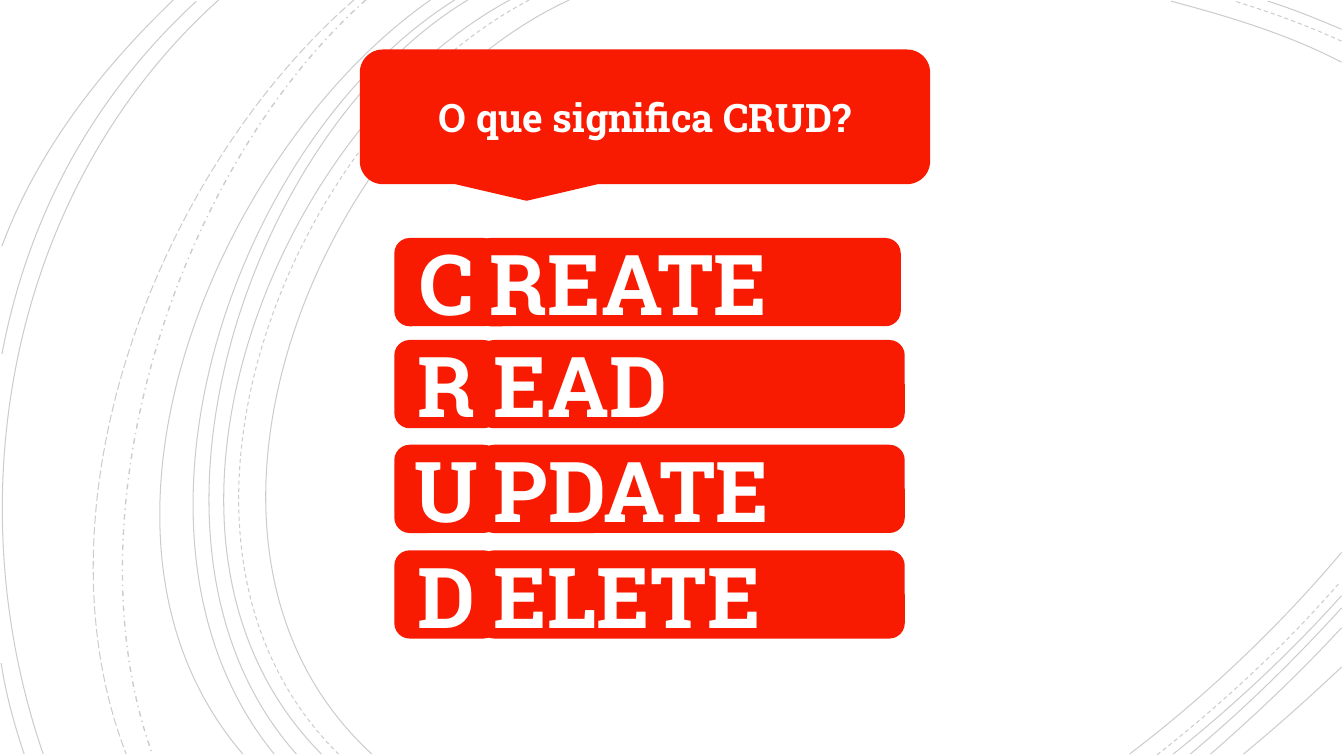
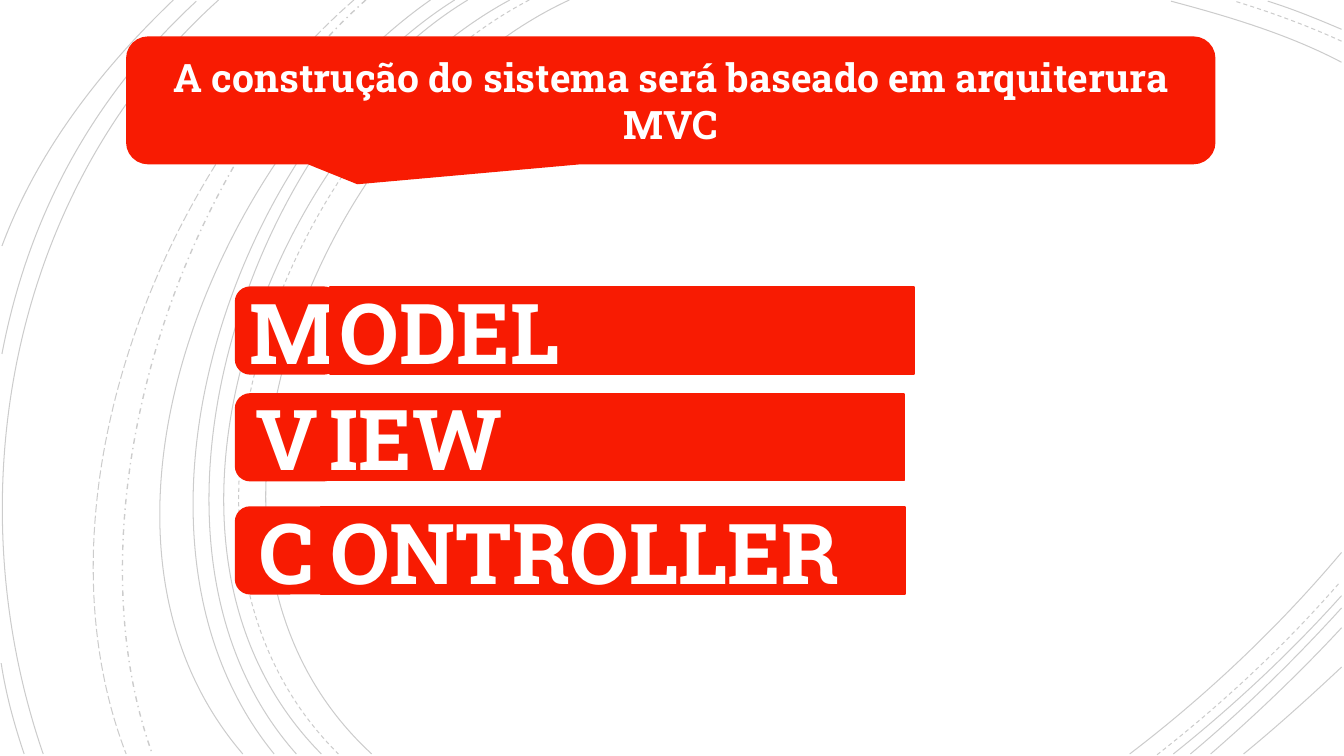
from dataclasses import dataclass

from lxml.etree import SubElement
from pptx import Presentation
from pptx.dml.color import RGBColor
from pptx.enum.dml import MSO_LINE
from pptx.enum.shapes import MSO_SHAPE
from pptx.enum.text import MSO_ANCHOR, PP_ALIGN
from pptx.oxml.ns import qn
from pptx.util import Cm, Pt


@dataclass(frozen=True)
class Theme:
    red: RGBColor = RGBColor(0xF8, 0x1B, 0x02)
    white: RGBColor = RGBColor(0xFF, 0xFF, 0xFF)
    black: RGBColor = RGBColor(0, 0, 0)
    arc_opacity: int = 20
    font: str = "Roboto Slab"
    title_size: Pt = Pt(28)
    word_size: Pt = Pt(60)
    outline: Pt = Pt(1.25)


THEME = Theme()
SLIDE_SIZE = (33.87, 19.05)
BAR_HEIGHT = 2.18
INITIAL_WIDTH = 2.59

TOPICS = [
    {
        "title": "O que significa CRUD?",
        "callout": (9.09, 1.27, 14.33, 3.35),
        "pointer": (-0.208, 0.625, 0.167),
        "initial_left": 9.96,
        "rest_width": 10.69,
        "rest_corner": 0.167,
        "words": [
            ("C", "REATE", 6.02, 11.99),
            ("R", "EAD", 8.59, 12.09),
            ("U", "PDATE", 11.23, 12.09),
            ("D", "ELETE", 13.89, 12.09),
        ],
    },
    {
        "title": "A construção do sistema será baseado em arquiterura MVC",
        "callout": (3.2, 0.94, 27.41, 3.18),
        "pointer": (-0.288, 0.658, 0.167),
        "initial_left": 5.94,
        "rest_width": 14.73,
        "rest_corner": 0,
        "words": [
            ("M", "ODEL", 7.24, 8.31),
            ("V", "IEW", 9.93, 8.05),
            ("C", "ONTROLLER", 12.78, 8.08),
        ],
    },
]

ARCS = {
    (MSO_LINE.SOLID, 0.75): [
        [(14.35, 0), (8, 2.92), (3.63, 13.72), (9.37, 19)],
        [(33.81, 1.57), (32.46, 0.86), (30.94, 0.41), (29.51, 0.03)],
        [(28.47, 19), (30.4, 17.53), (32.23, 15.8), (33.81, 13.92)],
        [(12.85, 0), (6.86, 3.23), (2.79, 13.64), (8.1, 19)],
        [(33.81, 0.74), (33.2, 0.48), (32.59, 0.23), (31.95, 0.03)],
        [(29.57, 19), (31.06, 17.81), (32.51, 16.46), (33.81, 15.01)],
        [(11.79, 0), (6.2, 3.38), (2.79, 13.74), (7.47, 19)],
        [(30, 19), (31.34, 17.88), (32.61, 16.64), (33.81, 15.32)],
        [(11.46, 0), (5.87, 3.51), (2.46, 13.54), (6.91, 19)],
        [(30.51, 19), (31.65, 18.01), (32.77, 16.94), (33.81, 15.82)],
        [(10.85, 0), (5.51, 3.73), (1.35, 13.44), (6.12, 19)],
        [(31.34, 19), (32.18, 18.31), (32.99, 17.58), (33.81, 16.81)],
        [(5.51, 0), (0.28, 4.7), (-1.17, 12.45), (1.09, 19)],
        [(4.95, 0.03), (2.34, 2.44), (0.71, 5.44), (0.05, 8.92)],
        [(0.03, 16.71), (0.15, 17.5), (0.36, 18.26), (0.61, 19)],
        [(4.37, 0), (2.54, 1.75), (0.94, 3.81), (0.05, 6.2)],
    ],
    (MSO_LINE.DASH, 0.75): [
        [(13.34, 0), (7.24, 3.18), (3.12, 13.64), (8.53, 19)],
        [(33.81, 1.04), (32.94, 0.64), (32, 0.3), (31.12, 0.03)],
        [(29.16, 19.02), (30.81, 17.73), (32.39, 16.26), (33.78, 14.66)],
    ],
    (MSO_LINE.DASH_DOT, 1): [
        [(9.22, 0), (4.47, 4.22), (1.65, 12.93), (3.84, 19)],
    ],
    (MSO_LINE.LONG_DASH, 0.75): [
        [(8.92, 0), (3.99, 4.29), (0.74, 12.67), (3.18, 19)],
    ],
}


def draw_arc(slide, points, dash, weight):
    start, *controls = [(Cm(x), Cm(y)) for x, y in points]
    builder = slide.shapes.build_freeform(*start)
    builder.add_line_segments(controls, close=False)
    arc = builder.convert_to_shape()
    arc.shadow.inherit = False
    arc.fill.background()
    arc.line.color.rgb = THEME.black
    arc.line.width = Pt(weight)
    arc.line.dash_style = dash
    color = next(arc.element.iter(qn("a:srgbClr")))
    SubElement(color, qn("a:alpha")).set("val", str(THEME.arc_opacity * 1000))
    outline = next(arc.element.iter(qn("a:path")))
    bezier = SubElement(outline, qn("a:cubicBezTo"))
    for segment in outline.findall(qn("a:lnTo")):
        bezier.append(segment[0])
        outline.remove(segment)
    return arc


def move_arcs_to_layout(slide):
    backdrop = slide.slide_layout.shapes.element
    for (dash, weight), curves in ARCS.items():
        for points in curves:
            backdrop.append(draw_arc(slide, points, dash, weight).element)


def add_label(slide, preset, box, adjustments, text, size, align):
    label = slide.shapes.add_shape(preset, *map(Cm, box))
    for index, value in enumerate(adjustments):
        label.adjustments[index] = value
    label.shadow.inherit = False
    label.fill.solid()
    label.fill.fore_color.rgb = THEME.red
    label.line.color.rgb = THEME.red
    label.line.width = THEME.outline
    frame = label.text_frame
    frame.word_wrap = True
    frame.vertical_anchor = MSO_ANCHOR.MIDDLE
    paragraph = frame.paragraphs[0]
    paragraph.alignment = align
    run = paragraph.add_run()
    run.text = text
    run.font.name = THEME.font
    run.font.size = size
    run.font.bold = True
    run.font.color.rgb = THEME.white


def draw_topic(slide, topic):
    add_label(slide, MSO_SHAPE.ROUNDED_RECTANGULAR_CALLOUT, topic["callout"],
              topic["pointer"], topic["title"], THEME.title_size, PP_ALIGN.CENTER)
    for initial, _, top, _ in topic["words"]:
        box = (topic["initial_left"], top, INITIAL_WIDTH, BAR_HEIGHT)
        add_label(slide, MSO_SHAPE.ROUNDED_RECTANGLE, box, [0.167],
                  initial, THEME.word_size, PP_ALIGN.CENTER)
    for _, rest, top, left in topic["words"]:
        box = (left, top, topic["rest_width"], BAR_HEIGHT)
        add_label(slide, MSO_SHAPE.ROUNDED_RECTANGLE, box, [topic["rest_corner"]],
                  rest, THEME.word_size, PP_ALIGN.LEFT)


def main():
    deck = Presentation()
    deck.slide_width, deck.slide_height = map(Cm, SLIDE_SIZE)
    blank = deck.slide_layouts[6]
    slides = [deck.slides.add_slide(blank) for _ in TOPICS]
    move_arcs_to_layout(slides[0])
    for slide, topic in zip(slides, TOPICS):
        draw_topic(slide, topic)
    deck.save("out.pptx")


if __name__ == "__main__":
    main()
